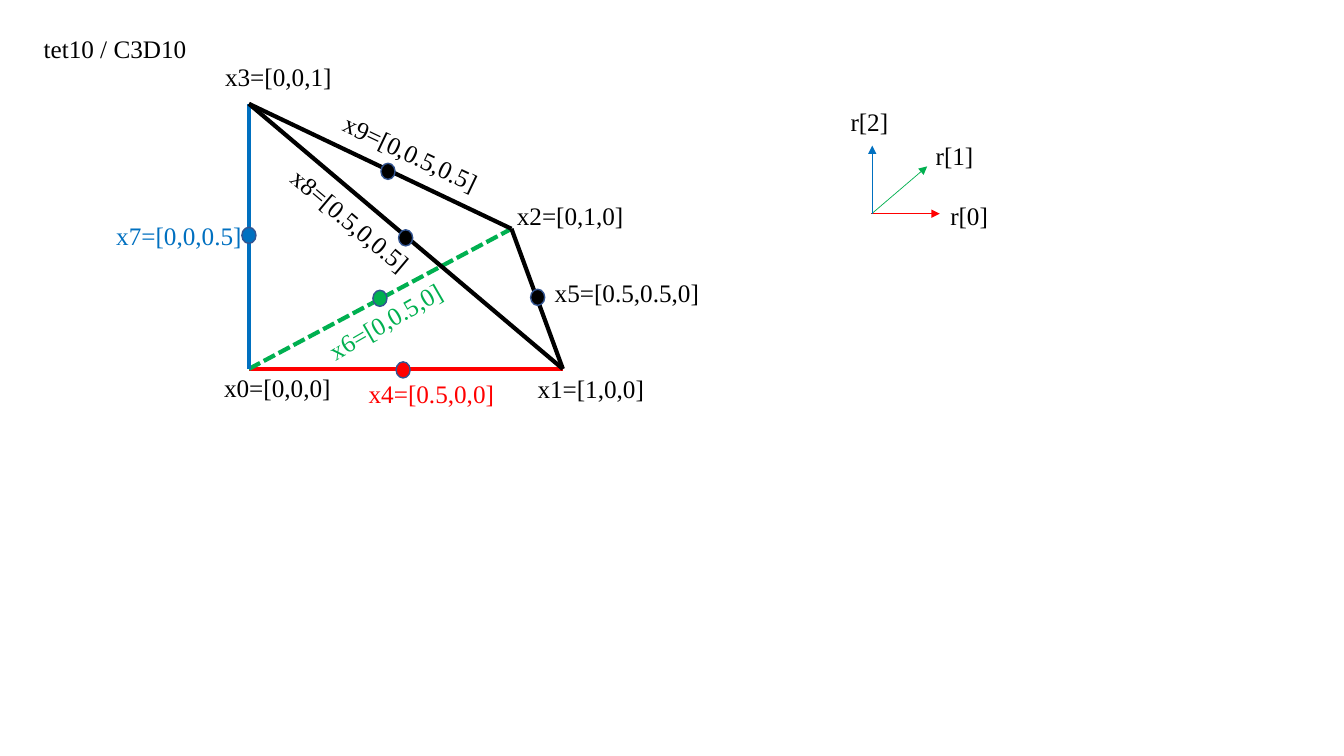
from dataclasses import dataclass
from typing import NamedTuple

from lxml import etree
from pptx import Presentation
from pptx import util as u
from pptx.dml.color import RGBColor
from pptx.enum import dml, shapes, text
from pptx.oxml import ns

EMU_PER_PX = 4572
SLIDE_WIDTH, SLIDE_HEIGHT = 2667, 1500
LABEL_HEIGHT = 81
DOT_WIDTH, DOT_HEIGHT = 28, 32


@dataclass(frozen=True)
class Theme:
    black: str = "000000"
    red: str = "FF0000"
    green: str = "00B050"
    blue: str = "0070C0"
    dot_outline: str = "325491"
    font: str = "Times New Roman"
    label_pt: float = 18
    edge_pt: float = 3
    axis_pt: float = 0.5
    dot_pt: float = 1


THEME = Theme()


class Point(NamedTuple):
    x: int
    y: int


@dataclass(frozen=True)
class Segment:
    start: Point
    end: Point
    color: str
    weight: float = THEME.edge_pt
    dashed: bool = False
    arrow: bool = False


@dataclass(frozen=True)
class Label:
    wording: str
    left: int
    top: int
    width: int
    color: str = THEME.black
    rotation: float = 0


@dataclass(frozen=True)
class MidNode:
    corner: Point
    color: str = THEME.black


X0, X1, X2, X3 = Point(494, 732), Point(1117, 732), Point(1015, 454), Point(494, 206)

EDGES = [
    Segment(X0, X1, THEME.red),
    Segment(X0, X2, THEME.green, dashed=True),
    Segment(X1, X2, THEME.black),
    Segment(X0, X3, THEME.blue),
    Segment(X2, X3, THEME.black),
    Segment(X1, X3, THEME.black),
]

AXES = [
    Segment(Point(1728, 424), Point(1865, 424), THEME.red, THEME.axis_pt, arrow=True),
    Segment(Point(1730, 424), Point(1840, 330), THEME.green, THEME.axis_pt, arrow=True),
    Segment(Point(1731, 424), Point(1731, 289), THEME.blue, THEME.axis_pt, arrow=True),
]

LABELS = [
    Label("tet10 / C3D10", 67, 56, 326),
    Label("r[0]", 1866, 388, 116),
    Label("r[1]", 1837, 268, 116),
    Label("r[2]", 1668, 202, 116),
    Label("x0=[0,0,0]", 425, 728, 254),
    Label("x1=[1,0,0]", 1047, 730, 254),
    Label("x2=[0,1,0]", 1006, 388, 254),
    Label("x3=[0,0,1]", 427, 112, 254),
    Label("x4=[0.5,0,0]", 712, 740, 292, THEME.red),
    Label("x5=[0.5,0.5,0]", 1081, 541, 330),
    Label("x6=[0,0.5,0]", 620, 596, 292, THEME.green, 330),
    Label("x7=[0,0,0.5]", 211, 428, 292, THEME.blue),
    Label("x8=[0.5,0,0.5]", 532, 398, 330, rotation=40.12),
    Label("x9=[0,0.5,0.5]", 652, 264, 330, rotation=25.58),
]

MID_NODES = [
    MidNode(Point(786, 718), THEME.red),
    MidNode(Point(1053, 574)),
    MidNode(Point(740, 576), THEME.green),
    MidNode(Point(480, 451), THEME.blue),
    MidNode(Point(791, 456)),
    MidNode(Point(756, 324)),
]


def px(length: int) -> u.Emu:
    return u.Emu(length * EMU_PER_PX)


def rgb(color: str) -> RGBColor:
    return RGBColor.from_string(color)


def draw_segment(slide, segment: Segment) -> None:
    connector = slide.shapes.add_connector(
        shapes.MSO_CONNECTOR.STRAIGHT, *map(px, segment.start + segment.end)
    )
    connector.line.color.rgb = rgb(segment.color)
    connector.line.width = u.Pt(segment.weight)
    if segment.dashed:
        connector.line.dash_style = dml.MSO_LINE.SQUARE_DOT
    if segment.arrow:
        outline = connector.line._get_or_add_ln()
        etree.SubElement(outline, ns.qn("a:tailEnd"), type="triangle")
    etree.SubElement(connector._element.spPr, ns.qn("a:effectLst"))


def draw_label(slide, label: Label) -> None:
    box = slide.shapes.add_textbox(
        px(label.left), px(label.top), px(label.width), px(LABEL_HEIGHT)
    )
    box.rotation = label.rotation
    frame = box.text_frame
    frame.text = label.wording
    frame.word_wrap = False
    frame.auto_size = text.MSO_AUTO_SIZE.SHAPE_TO_FIT_TEXT
    font = frame.paragraphs[0].runs[0].font
    font.name = THEME.font
    font.size = u.Pt(THEME.label_pt)
    font.color.rgb = rgb(label.color)


def draw_mid_node(slide, node: MidNode) -> None:
    dot = slide.shapes.add_shape(
        shapes.MSO_SHAPE.OVAL, *map(px, node.corner), px(DOT_WIDTH), px(DOT_HEIGHT)
    )
    dot.shadow.inherit = False
    dot.fill.solid()
    dot.fill.fore_color.rgb = rgb(node.color)
    dot.line.color.rgb = rgb(THEME.dot_outline)
    dot.line.width = u.Pt(THEME.dot_pt)


def main() -> None:
    deck = Presentation()
    deck.slide_width, deck.slide_height = px(SLIDE_WIDTH), px(SLIDE_HEIGHT)
    slide = deck.slides.add_slide(deck.slide_layouts[6])
    for segment in EDGES + AXES:
        draw_segment(slide, segment)
    for label in LABELS:
        draw_label(slide, label)
    for node in MID_NODES:
        draw_mid_node(slide, node)
    deck.save("out.pptx")


if __name__ == "__main__":
    main()
